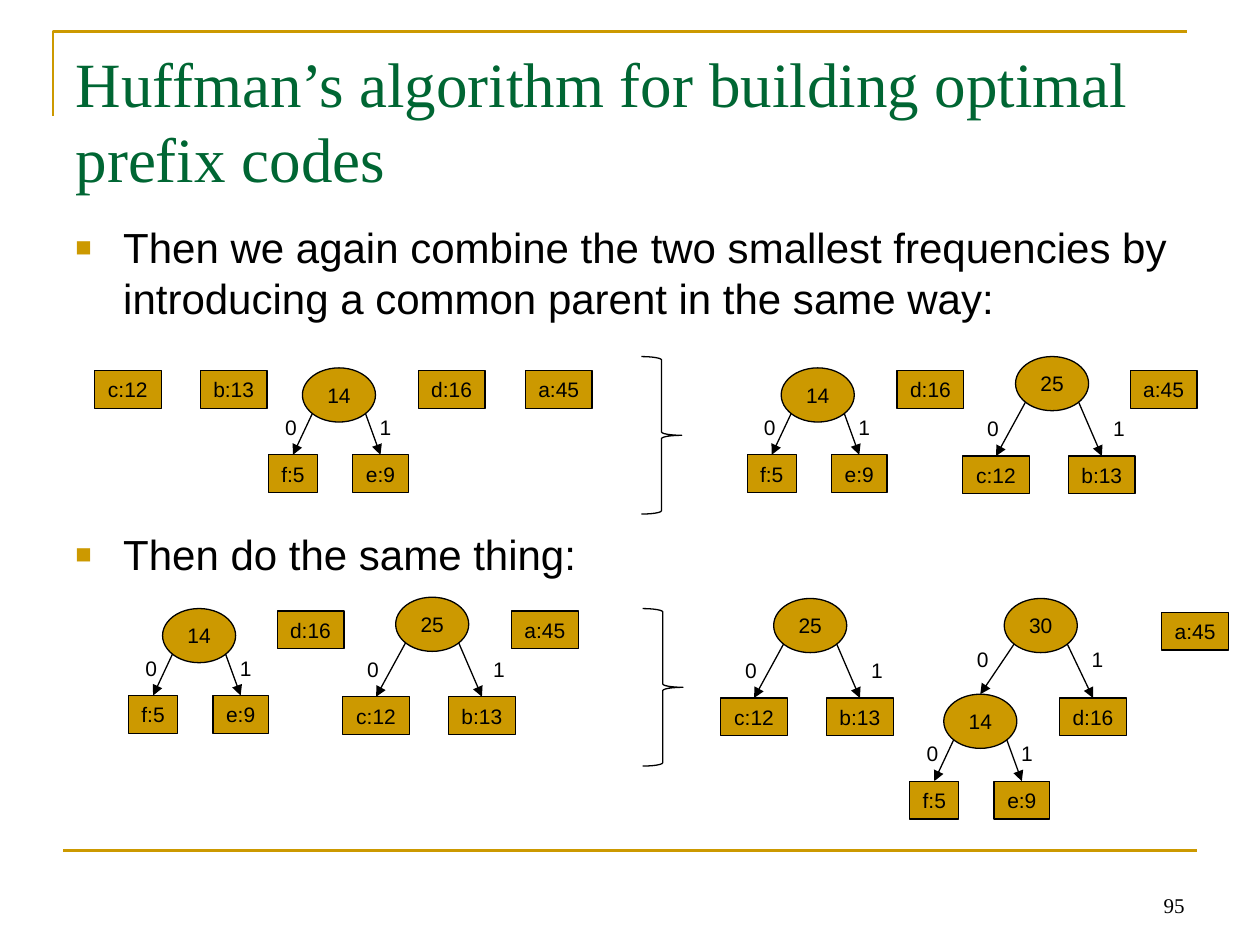
from pptx import Presentation
from pptx.dml.color import RGBColor
from pptx.enum import shapes, text
from pptx.oxml.ns import qn
from pptx.util import Inches, Pt
from lxml import etree

THEME = {
    "gold": RGBColor.from_string("CC9900"),
    "green": RGBColor.from_string("006633"),
    "black": RGBColor.from_string("000000"),
    "serif": "Times New Roman", "sans": "Arial",
    "title": 36, "body": 24, "small": 12,
    "thin": 0.75, "rule": 1.5,
}

TITLE = "Huffman’s algorithm for building optimal prefix codes"
PAGE_NUMBER = "95"
# (text, points before)
BULLETS = [
    ("Then we again combine the two smallest frequencies by "
     "introducing a common parent in the same way:", 0),
    ("Then do the same thing:", 118),
]

# Parent: two (child, dx, dy) and two (bit, dx, dy), from the parent's corner
TREES = {
    "14": ([("f:5", -0.27, 0.69), ("e:9", 0.4, 0.69)],
           [("0", -0.24, 0.32), ("1", 0.51, 0.32)]),
    "25": ([("c:12", -0.42, 0.79), ("b:13", 0.42, 0.79)],
           [("0", -0.33, 0.42), ("1", 0.67, 0.42)]),
    "30": ([("14", -0.48, 0.76), ("d:16", 0.44, 0.79)],
           [("0", -0.32, 0.33), ("1", 0.59, 0.33)]),
}
# Each forest: its top-level nodes as (label, left, top)
FORESTS = [
    [("c:12", 0.75, 2.94), ("b:13", 1.59, 2.94), ("14", 2.4, 2.92),
     ("d:16", 3.32, 2.94), ("a:45", 4.17, 2.94)],
    [("14", 6.2, 2.92), ("d:16", 7.12, 2.94), ("25", 8.06, 2.83),
     ("a:45", 8.97, 2.94)],
    [("14", 1.29, 4.83), ("d:16", 2.2, 4.85), ("25", 3.14, 4.74),
     ("a:45", 4.06, 4.85)],
    [("25", 6.14, 4.75), ("30", 7.97, 4.75), ("a:45", 9.22, 4.86)],
]
BRACES = [(5.09, 2.83), (5.1, 4.83)]

PARENT_SIZE = (0.58, 0.43)
LEAF_HEIGHT = 0.3
LEAF_WIDTHS = {"f:5": 0.39, "e:9": 0.44}
LEAF_WIDTH = 0.53
EDGE_STARTS = [(0.08, 0.36), (0.5, 0.36)]


def node_size(label):
    if label in TREES:
        return PARENT_SIZE
    return LEAF_WIDTHS.get(label, LEAF_WIDTH), LEAF_HEIGHT


def style_paragraph(paragraph, size, color="black", font="sans", align=None):
    paragraph.font.size = Pt(THEME[size])
    paragraph.font.name = THEME[font]
    paragraph.font.color.rgb = THEME[color]
    paragraph.alignment = align


def style_line(shape, color="black", width="thin"):
    shape.line.color.rgb = THEME[color]
    shape.line.width = Pt(THEME[width])


def set_small_text(shape, words, anchor=text.MSO_ANCHOR.MIDDLE):
    frame = shape.text_frame
    frame.word_wrap = False
    frame.vertical_anchor = anchor
    frame.text = words
    style_paragraph(frame.paragraphs[0], "small", align=text.PP_ALIGN.CENTER)


def add_line(slide, start, end, color="black", width="thin", arrow=False):
    line = slide.shapes.add_connector(
        shapes.MSO_CONNECTOR.STRAIGHT, *(Inches(v) for v in (*start, *end)))
    style_line(line, color, width)
    if arrow:
        etree.SubElement(line.line._get_or_add_ln(), qn("a:tailEnd"), type="triangle")
    etree.SubElement(line._element.spPr, qn("a:effectLst"))


def add_node(slide, label, left, top):
    """Draw a leaf, or a parent with everything below it."""
    kind = shapes.MSO_SHAPE.OVAL if label in TREES else shapes.MSO_SHAPE.RECTANGLE
    width, height = node_size(label)
    node = slide.shapes.add_shape(
        kind, Inches(left), Inches(top), Inches(width), Inches(height))
    node.shadow.inherit = False
    node.fill.solid()
    node.fill.fore_color.rgb = THEME["gold"]
    style_line(node)
    set_small_text(node, label)

    children, bits = TREES.get(label, ([], []))
    for (child, dx, dy), (start_x, start_y) in zip(children, EDGE_STARTS):
        add_node(slide, child, left + dx, top + dy)
        add_line(slide, (left + start_x, top + start_y),
                 (left + dx + node_size(child)[0] / 2, top + dy), arrow=True)
    for bit, dx, dy in bits:
        box = slide.shapes.add_textbox(
            Inches(left + dx), Inches(top + dy), Inches(0.3), Inches(0.3))
        set_small_text(box, bit, text.MSO_ANCHOR.TOP)


def add_brace(slide, left, top):
    brace = slide.shapes.add_shape(
        shapes.MSO_SHAPE.RIGHT_BRACE,
        Inches(left), Inches(top), Inches(0.32), Inches(1.25))
    brace.shadow.inherit = False
    brace.fill.background()
    style_line(brace)


def add_bullet(paragraph):
    properties = paragraph._p.get_or_add_pPr()
    properties.set("marL", str(Inches(0.38)))
    properties.set("indent", str(-Inches(0.38)))
    color = etree.SubElement(properties, qn("a:buClr"))
    etree.SubElement(color, qn("a:srgbClr"), val=str(THEME["gold"]))
    etree.SubElement(properties, qn("a:buSzPct"), val="65000")
    etree.SubElement(properties, qn("a:buFont"), typeface=THEME["sans"])
    etree.SubElement(properties, qn("a:buChar"), char="■")


def add_frame(slide):
    builder = slide.shapes.build_freeform(Inches(0.42), Inches(0.92))
    builder.add_line_segments(
        [(Inches(0.42), Inches(0.25)), (Inches(9.42), Inches(0.25))], close=False)
    corner = builder.convert_to_shape()
    corner.shadow.inherit = False
    corner.fill.background()
    style_line(corner, "gold", "rule")
    add_line(slide, (0.5, 6.75), (9.5, 6.75), "gold", "rule")


def add_texts(slide):
    title = slide.shapes.title
    title.left, title.top = Inches(0.5), Inches(0.3)
    title.width, title.height = Inches(9), Inches(1.25)
    title.text_frame.text = TITLE
    title.text_frame.vertical_anchor = text.MSO_ANCHOR.TOP
    title.text_frame.auto_size = text.MSO_AUTO_SIZE.NONE
    style_paragraph(title.text_frame.paragraphs[0], "title", "green", "serif",
                    text.PP_ALIGN.LEFT)

    body = slide.shapes.add_textbox(
        Inches(0.5), Inches(1.71), Inches(9), Inches(4.95)).text_frame
    body.word_wrap = True
    for index, (words, space) in enumerate(BULLETS):
        paragraph = body.add_paragraph() if index else body.paragraphs[0]
        paragraph.text = words
        add_bullet(paragraph)
        style_paragraph(paragraph, "body")
        if space:
            paragraph.space_before = Pt(space)

    number = slide.shapes.add_textbox(
        Inches(7.17), Inches(6.83), Inches(2.33), Inches(0.5)).text_frame
    number.text = PAGE_NUMBER
    number.vertical_anchor = text.MSO_ANCHOR.BOTTOM
    number.word_wrap = True
    style_paragraph(number.paragraphs[0], "small", font="serif",
                    align=text.PP_ALIGN.RIGHT)


def main():
    presentation = Presentation()
    presentation.slide_width, presentation.slide_height = Inches(10), Inches(7.5)
    slide = presentation.slides.add_slide(presentation.slide_layouts[5])
    add_frame(slide)
    add_texts(slide)
    for forest in FORESTS:
        for node in forest:
            add_node(slide, *node)
    for brace in BRACES:
        add_brace(slide, *brace)
    presentation.save("out.pptx")


if __name__ == "__main__":
    main()
